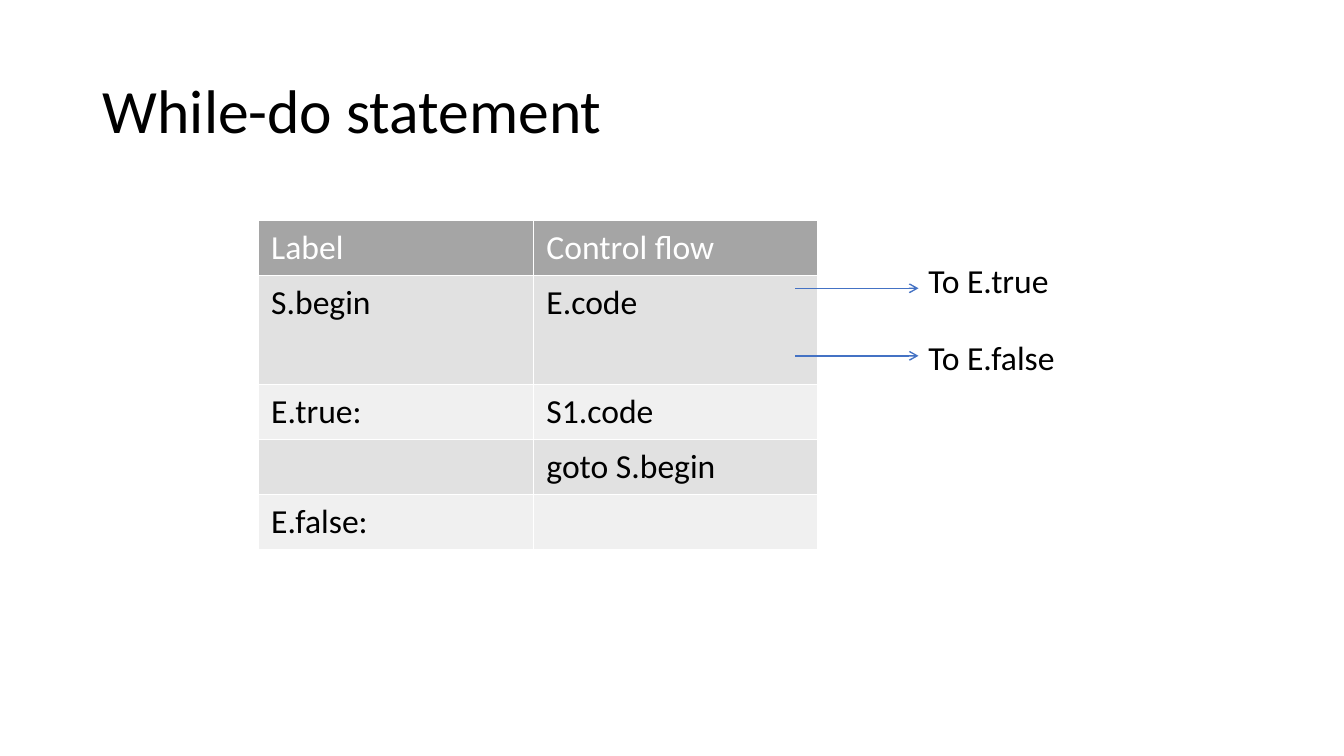
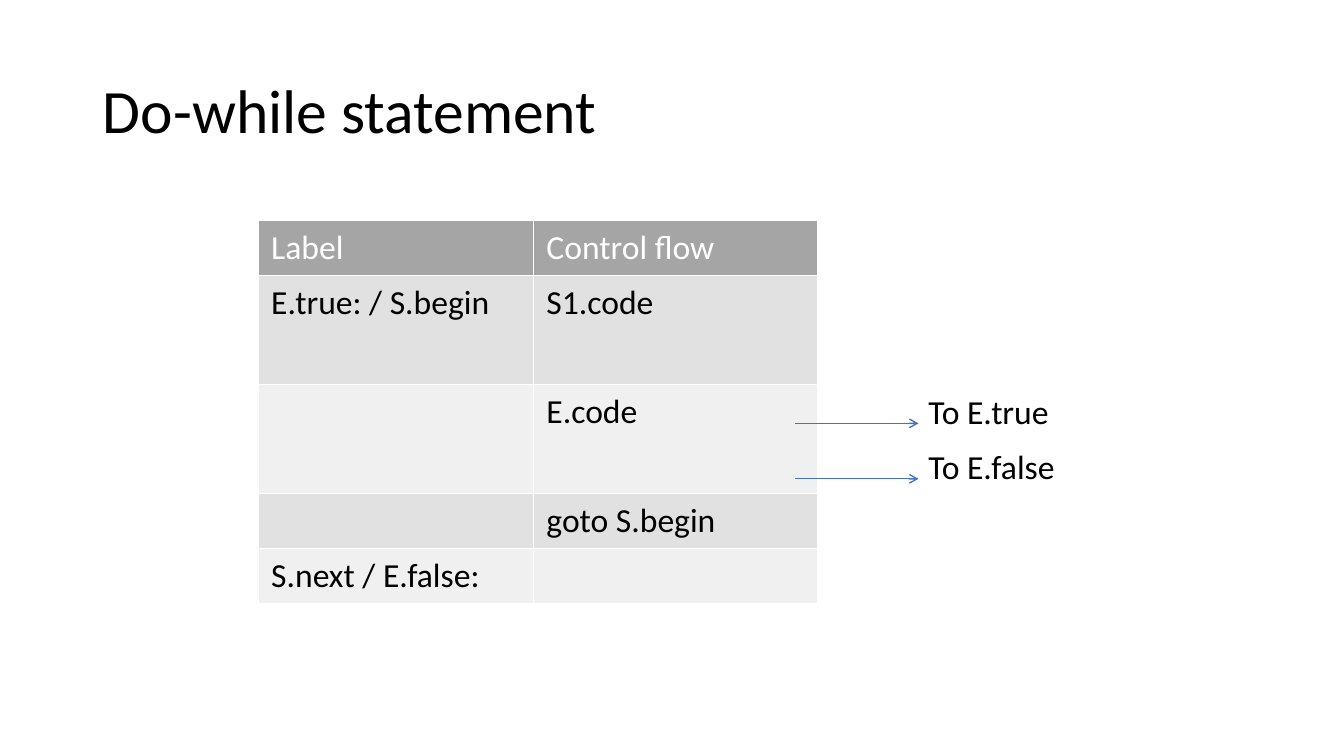
from lxml.etree import SubElement
from pptx import Presentation
from pptx.dml.color import RGBColor
from pptx.enum.shapes import MSO_CONNECTOR
from pptx.enum.text import MSO_ANCHOR, MSO_AUTO_SIZE, PP_ALIGN
from pptx.oxml.ns import qn
from pptx.util import Inches, Pt

BLACK = RGBColor(0x00, 0x00, 0x00)
WHITE = RGBColor(0xFF, 0xFF, 0xFF)
GRAY = RGBColor(0xA5, 0xA5, 0xA5)
BANDS = RGBColor(0xE1, 0xE1, 0xE1), RGBColor(0xF0, 0xF0, 0xF0)
BLUE = RGBColor(0x44, 0x72, 0xC4)
FONT = "Calibri"
ROW = 0.54
COLS = 2.73, 2.82
HEAD = "Label", "Control flow"
LEFT, TOP = 2.56, 2.19

# Each row: label, code, height in row units.
# Each exit: text, top of its text, height of its arrow.
SLIDES = [
    ("While-do statement",
     [("S.begin", "E.code", 2), ("E.true:", "S1.code", 1),
      ("", "goto S.begin", 1), ("E.false:", "", 1)],
     [("To E.true", 2.53, 2.86), ("To E.false", 3.29, 3.53)]),
    ("Do-while statement",
     [("E.true: / S.begin", "S1.code", 2), ("", "E.code", 2),
      ("", "goto S.begin", 1), ("S.next / E.false:", "", 1)],
     [("To E.true", 3.83, 4.2), ("To E.false", 4.37, 4.75)]),
]


def style(frame, size, color):
    for para in frame.paragraphs:
        for run in para.runs:
            font = run.font
            font.name, font.size, font.bold = FONT, Pt(size), False
            font.color.rgb = color


def add_title(slide, text):
    title = slide.shapes.title
    title.left, title.top = Inches(0.92), Inches(0.4)
    title.width, title.height = Inches(11.5), Inches(1.45)
    frame = title.text_frame
    frame.text = text
    frame.auto_size = MSO_AUTO_SIZE.NONE
    frame.vertical_anchor = MSO_ANCHOR.MIDDLE
    para = frame.paragraphs[0]
    para.alignment = PP_ALIGN.LEFT
    para.line_spacing = 0.9
    style(frame, 44, BLACK)


def set_cell(cell, text, fill, color):
    cell.margin_left = cell.margin_right = Inches(0.13)
    cell.margin_top = cell.margin_bottom = Inches(0.07)
    props = cell._tc.get_or_add_tcPr()
    for side in ("L", "R", "T", "B"):
        line = SubElement(props, qn("a:ln" + side), w=str(Pt(1)))
        solid = SubElement(line, qn("a:solidFill"))
        SubElement(solid, qn("a:srgbClr"), val=str(WHITE))
    cell.fill.solid()
    cell.fill.fore_color.rgb = fill
    cell.text_frame.text = text
    style(cell.text_frame, 24, color)


def add_flow(slide, left, top, rows):
    """Add the table of labels and control flow."""
    rows = [(*HEAD, 1), *rows]
    high = ROW * sum(row[2] for row in rows)
    table = slide.shapes.add_table(
        len(rows), len(COLS), Inches(left), Inches(top),
        Inches(sum(COLS)), Inches(high)).table
    for col, width in zip(table.columns, COLS):
        col.width = Inches(width)
    for i, (*texts, units) in enumerate(rows):
        table.rows[i].height = Inches(ROW * units)
        fill, color = (BANDS[(i - 1) % 2], BLACK) if i else (GRAY, WHITE)
        for j, text in enumerate(texts):
            set_cell(table.cell(i, j), text, fill, color)


def add_exit(slide, edge, text, top, mid):
    """Add an arrow across the table's right edge, and its target."""
    tip = Inches(edge + 1)
    arrow = slide.shapes.add_connector(
        MSO_CONNECTOR.STRAIGHT, Inches(edge - 0.22), Inches(mid),
        tip, Inches(mid))
    arrow.line.color.rgb = BLUE
    arrow.line.width = Pt(1)
    SubElement(arrow.line._get_or_add_ln(), qn("a:tailEnd"), type="arrow")
    SubElement(arrow._element.spPr, qn("a:effectLst"))
    box = slide.shapes.add_textbox(tip, Inches(top), Inches(1.67), Inches(0.5))
    frame = box.text_frame
    frame.word_wrap = True
    frame.auto_size = MSO_AUTO_SIZE.SHAPE_TO_FIT_TEXT
    frame.text = text
    style(frame, 24, BLACK)


def add_slide(deck, title, rows, exits):
    slide = deck.slides.add_slide(deck.slide_layouts[5])
    add_title(slide, title)
    add_flow(slide, LEFT, TOP, rows)
    for leave in exits:
        add_exit(slide, LEFT + sum(COLS), *leave)


def main():
    deck = Presentation()
    deck.slide_width, deck.slide_height = Inches(13.33), Inches(7.5)
    for parts in SLIDES:
        add_slide(deck, *parts)
    deck.save("out.pptx")


if __name__ == "__main__":
    main()
